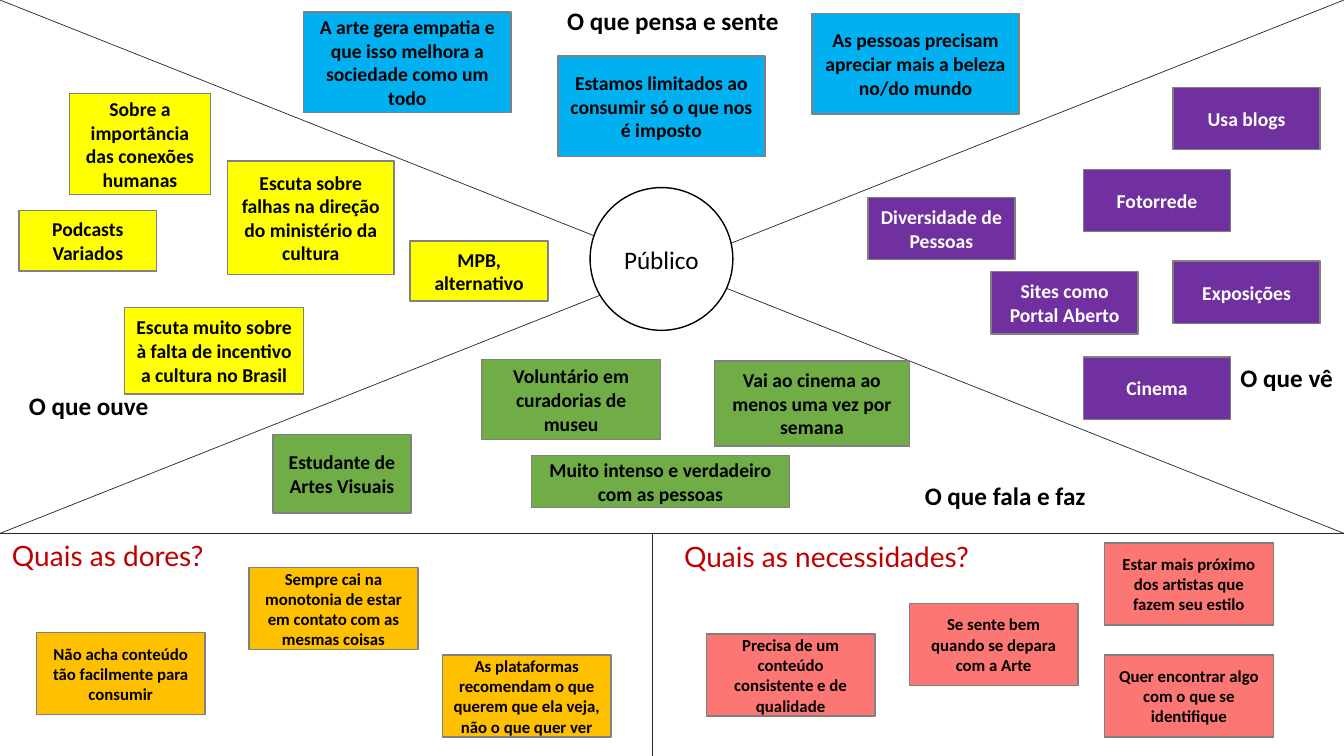
from dataclasses import dataclass
from typing import NamedTuple

from lxml import etree
from pptx import Presentation
from pptx.dml.color import RGBColor
from pptx.enum.shapes import MSO_CONNECTOR, MSO_SHAPE
from pptx.enum.text import MSO_ANCHOR, PP_ALIGN
from pptx.oxml.ns import qn
from pptx.util import Pt

RECTANGLE, OVAL = MSO_SHAPE.RECTANGLE, MSO_SHAPE.OVAL
STRAIGHT = MSO_CONNECTOR.STRAIGHT
LEFT, CENTER = PP_ALIGN.LEFT, PP_ALIGN.CENTER
MIDDLE = MSO_ANCHOR.MIDDLE


class TextStyle(NamedTuple):
    size: float
    color: str
    bold: bool = True
    font: str = "Calibri"
    align: PP_ALIGN = CENTER


@dataclass(frozen=True)
class Theme:
    thinks: str = "00B0F0"
    hears: str = "FFFF00"
    does: str = "70AD47"
    sees: str = "7030A0"
    pains: str = "FFC000"
    needs: str = "FC7774"
    paper: str = "FFFFFF"
    ink: str = "000000"
    note_border: str = "808080"
    divider: str = "262626"
    note: TextStyle = TextStyle(14, "000000")
    light_note: TextStyle = TextStyle(14, "FFFFFF")
    small_note: TextStyle = TextStyle(12, "000000")
    audience: TextStyle = TextStyle(18, "000000", bold=False)
    label: TextStyle = TextStyle(18, "000000", align=LEFT)
    question: TextStyle = TextStyle(20, "C00000", bold=False, font="Lato")


class Note(NamedTuple):
    text: str
    left: float
    top: float
    width: float
    height: float


class NoteGroup(NamedTuple):
    fill: str
    style: TextStyle
    notes: list[Note]


class Heading(NamedTuple):
    text: str
    left: float
    top: float
    width: float
    height: float
    style: TextStyle


class Divider(NamedTuple):
    x1: float
    y1: float
    x2: float
    y2: float


theme = Theme()
WIDTH, HEIGHT, HORIZON, MIDLINE = 960, 540, 381, 466
IDEA = (148, 72)
SIGHT = (105, 44.5)
SOUND = (98.5, 43)
CARD = (120.5, 58.5)

dividers = [
    Divider(WIDTH, 0, 0, HORIZON),
    Divider(WIDTH, HORIZON, 0, 0),
    Divider(WIDTH, HORIZON, 0, HORIZON),
    Divider(MIDLINE, HEIGHT, MIDLINE, HORIZON),
]

headings = [
    Heading("O que pensa e sente", 398, 0, 167, 29, theme.label),
    Heading("O que vê", 879, 255.5, 81, 29, theme.label),
    Heading("O que fala e faz", 653.5, 339.5, 130, 29, theme.label),
    Heading("O que ouve", 13.5, 275, 101, 29, theme.label),
    Heading("Quais as dores?", 0, 381, 154, 31.5, theme.question),
    Heading("Quais as necessidades?", 480, 381.5, 221, 31.5, theme.question),
]

groups = [
    NoteGroup(theme.thinks, theme.note, [
        Note("A arte gera empatia e que isso melhora a sociedade como um todo", 217, 8.5, *IDEA),
        Note("Estamos limitados ao consumir só o que nos é imposto", 398.5, 40, *IDEA),
        Note("As pessoas precisam apreciar mais a beleza no/do mundo", 580, 9.5, *IDEA),
    ]),
    NoteGroup(theme.hears, theme.note, [
        Note("Sobre a importância das conexões humanas", 49.5, 67, 101, 72),
        Note("Escuta sobre falhas na direção do ministério da cultura", 162.5, 115, 119, 81),
        Note("Podcasts Variados", 13.5, 150.5, *SOUND),
        Note("MPB, alternativo", 293, 172, *SOUND),
        Note("Escuta muito sobre à falta de incentivo a cultura no Brasil", 89, 219.5, 128, 62),
    ]),
    NoteGroup(theme.does, theme.note, [
        Note("Estudante de Artes Visuais", 195, 310.5, 98.5, 56),
        Note("Voluntário em curadorias de museu", 344, 257, 128, 57),
        Note("Vai ao cinema ao menos uma vez por semana", 510.5, 258, 139, 60.5),
        Note("Muito intenso e verdadeiro com as pessoas", 379.5, 325.5, 184.5, 37),
    ]),
    NoteGroup(theme.sees, theme.light_note, [
        Note("Usa blogs", 838, 62.5, *SIGHT),
        Note("Fotorrede", 774, 121, *SIGHT),
        Note("Diversidade de Pessoas", 620, 141, *SIGHT),
        Note("Exposições", 838, 186.5, *SIGHT),
        Note("Sites como Portal Aberto", 708, 194, *SIGHT),
        Note("Cinema", 774, 255, *SIGHT),
    ]),
    NoteGroup(theme.pains, theme.small_note, [
        Note("Sempre cai na monotonia de estar em contato com as mesmas coisas", 178, 405.5, *CARD),
        Note("Não acha conteúdo tão facilmente para consumir", 26, 452, *CARD),
        Note("As plataformas recomendam o que querem que ela veja, não o que quer ver",
             316, 468, *CARD),
    ]),
    NoteGroup(theme.needs, theme.small_note, [
        Note("Se sente bem quando se depara com a Arte", 649.5, 431, *CARD),
        Note("Estar mais próximo dos artistas que fazem seu estilo", 789, 388, *CARD),
        Note("Quer encontrar algo com o que se identifique", 789, 468, *CARD),
        Note("Precisa de um conteúdo consistente e de qualidade", 504.5, 453, *CARD),
    ]),
]

audience = Note("Público", 421.5, 134, 102, 102)


def write(frame, text: str, style: TextStyle) -> None:
    paragraph = frame.paragraphs[0]
    paragraph.text = text
    paragraph.alignment = style.align
    paragraph.font.size = Pt(style.size)
    paragraph.font.bold = style.bold
    paragraph.font.name = style.font
    paragraph.font.color.rgb = RGBColor.from_string(style.color)


def draw_divider(slide, divider: Divider) -> None:
    line = slide.shapes.add_connector(STRAIGHT, *map(Pt, divider))
    line.line.color.rgb = RGBColor.from_string(theme.divider)
    line.line.width = Pt(0.5)
    etree.SubElement(line._element.spPr, qn("a:effectLst"))


def draw_heading(slide, heading: Heading) -> None:
    text, *bounds, style = heading
    frame = slide.shapes.add_textbox(*map(Pt, bounds)).text_frame
    frame.word_wrap = False
    write(frame, text, style)


def draw_note(slide, note: Note, fill: str, border: str, style: TextStyle,
              outline: MSO_SHAPE = RECTANGLE) -> None:
    text, *bounds = note
    shape = slide.shapes.add_shape(outline, *map(Pt, bounds))
    shape.shadow.inherit = False
    shape.fill.solid()
    shape.fill.fore_color.rgb = RGBColor.from_string(fill)
    shape.line.color.rgb = RGBColor.from_string(border)
    shape.line.width = Pt(1)
    shape.text_frame.word_wrap = True
    shape.text_frame.vertical_anchor = MIDDLE
    write(shape.text_frame, text, style)


presentation = Presentation()
presentation.slide_width, presentation.slide_height = Pt(WIDTH), Pt(HEIGHT)
empathy_map = presentation.slides.add_slide(presentation.slide_layouts[6])

for divider in dividers:
    draw_divider(empathy_map, divider)
for heading in headings:
    draw_heading(empathy_map, heading)
for group in groups:
    for note in group.notes:
        draw_note(empathy_map, note, group.fill, theme.note_border, group.style)
draw_note(empathy_map, audience, theme.paper, theme.ink, theme.audience, OVAL)

presentation.save("out.pptx")
